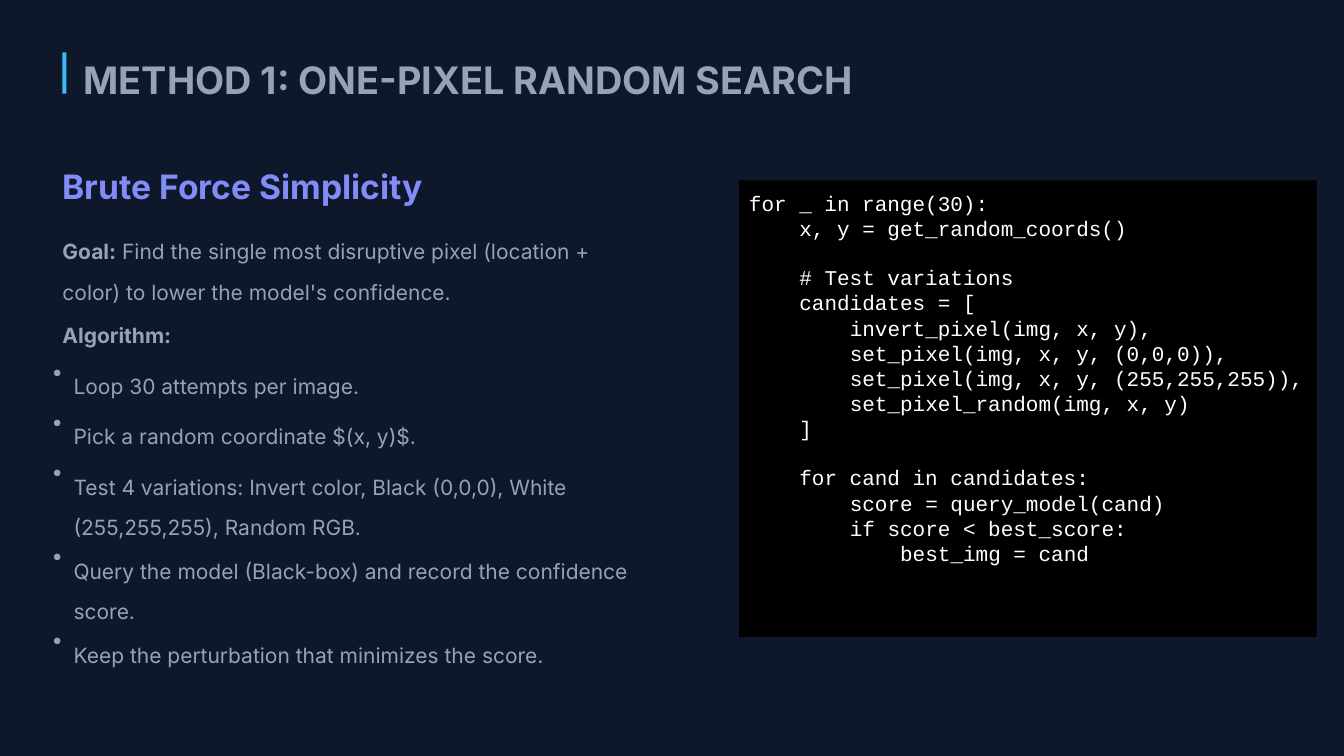
from pptx import Presentation
from pptx.dml.color import RGBColor
from pptx.enum.shapes import MSO_SHAPE
from pptx.enum.text import MSO_ANCHOR, MSO_AUTO_SIZE, PP_ALIGN
from pptx.util import Inches, Pt

BACKGROUND, ACCENT, HEADING, BODY = "0F172A", "38BDF8", "818CF8", "94A3B8"
TEXT_FONT, CODE_FONT = "Inter", "Courier New"
LEFT, TEXT_WIDTH = 0.62, 5.73
LINE_HEIGHT, BLOCK_GAP = 1 / 3, 1 / 6
BULLET_WIDTH = 0.11
CODE_INDENT = 0.5  # four monospaced characters at 15 pt
CODE_LINE = 17  # points left free by an empty code line

# Each paragraph block: (number of lines, [(text, bold), ...])
INTRO = [
    (2, [("Goal:", True),
         (" Find the single most disruptive pixel (location + color)"
          " to lower the model's confidence.", False)]),
    (1, [("Algorithm:", True)]),
]
STEPS = [
    (1, "Loop 30 attempts per image."),
    (1, "Pick a random coordinate $(x, y)$."),
    (2, "Test 4 variations: Invert color, Black (0,0,0), White (255,255,255), Random RGB."),
    (2, "Query the model (Black-box) and record the confidence score."),
    (1, "Keep the perturbation that minimizes the score."),
]

# Each code line: (indent level, text, follows an empty line)
CODE = [
    (0, "for _ in range(30):", False),
    (1, "x, y = get_random_coords()", False),
    (1, "# Test variations", True),
    (1, "candidates = [", False),
    (2, "invert_pixel(img, x, y),", False),
    (2, "set_pixel(img, x, y, (0,0,0)),", False),
    (2, "set_pixel(img, x, y, (255,255,255)),", False),
    (2, "set_pixel_random(img, x, y)", False),
    (1, "]", False),
    (1, "for cand in candidates:", True),
    (2, "score = query_model(cand)", False),
    (2, "if score < best_score:", False),
    (3, "best_img = cand", False),
]


def color(value):
    return RGBColor.from_string(value)


def add_span(para, text, size, fill, bold=False, font=TEXT_FONT):
    span = para.add_run()
    span.text = text
    span.font.size = Pt(size)
    span.font.name = font
    span.font.bold = bold
    span.font.color.rgb = color(fill)


def set_margins(frame, left, top, right, bottom):
    frame.margin_left, frame.margin_top = Inches(left), Inches(top)
    frame.margin_right, frame.margin_bottom = Inches(right), Inches(bottom)


def add_text(page, left, top, width, height, spans, size=15, fill=BODY,
             spacing=1.6, inset=0):
    box = page.shapes.add_textbox(Inches(left), Inches(top), Inches(width), Inches(height))
    frame = box.text_frame
    frame.word_wrap = True
    frame.auto_size = MSO_AUTO_SIZE.SHAPE_TO_FIT_TEXT
    set_margins(frame, inset, 0, 0, 0)
    para = frame.paragraphs[0]
    para.line_spacing = spacing
    for text, bold in spans:
        add_span(para, text, size, fill, bold)


def add_panel(page, left, top, width, height, fill):
    panel = page.shapes.add_shape(MSO_SHAPE.RECTANGLE, Inches(left), Inches(top),
                                  Inches(width), Inches(height))
    panel.shadow.inherit = False
    panel.fill.solid()
    panel.fill.fore_color.rgb = color(fill)
    panel.line.fill.background()
    return panel


def add_step(page, top, height, text):
    add_text(page, LEFT - BULLET_WIDTH, top, BULLET_WIDTH, LINE_HEIGHT,
             [("•", False)], spacing=1.0)
    add_text(page, LEFT, top, TEXT_WIDTH, height, [(text, False)], inset=BULLET_WIDTH)


def add_code(page, left, top, width, height, lines):
    frame = add_panel(page, left, top, width, height, "000000").text_frame
    frame.word_wrap = True
    frame.vertical_anchor = MSO_ANCHOR.TOP
    set_margins(frame, 0.1, 0.1, 0.1, 0.1)
    for index, (level, text, after_gap) in enumerate(lines):
        para = frame.add_paragraph() if index else frame.paragraphs[0]
        para.alignment = PP_ALIGN.LEFT
        para.space_before = Pt(CODE_LINE if after_gap else 0)
        para._p.get_or_add_pPr().set("marL", str(Inches(level * CODE_INDENT)))
        add_span(para, text, 15, "FFFFFF", font=CODE_FONT)


def main():
    deck = Presentation()
    deck.slide_width, deck.slide_height = Inches(13.33), Inches(7.5)
    page = deck.slides.add_slide(deck.slide_layouts[6])
    page.background.fill.solid()
    page.background.fill.fore_color.rgb = color(BACKGROUND)

    # Title with accent bar
    add_text(page, 0.83, 0.52, 8.85, 0.41, [("METHOD 1: ONE-PIXEL RANDOM SEARCH", True)],
             size=27, spacing=1.1)
    add_panel(page, LEFT, 0.52, 0.04, 0.41, ACCENT)

    # Explanation, stacked downwards
    add_text(page, LEFT, 1.61, 6.02, 0.37, [("Brute Force Simplicity", True)],
             size=24, fill=HEADING, spacing=1.1)
    top = 2.22
    for line_count, spans in INTRO:
        height = line_count * LINE_HEIGHT
        add_text(page, LEFT, top, TEXT_WIDTH, height, spans)
        top += height + BLOCK_GAP
    for line_count, text in STEPS:
        height = line_count * LINE_HEIGHT
        add_step(page, top, height, text)
        top += height + BLOCK_GAP

    # Code listing
    add_code(page, 7.33, 1.79, 5.73, 4.53, CODE)

    deck.save("out.pptx")


if __name__ == "__main__":
    main()
